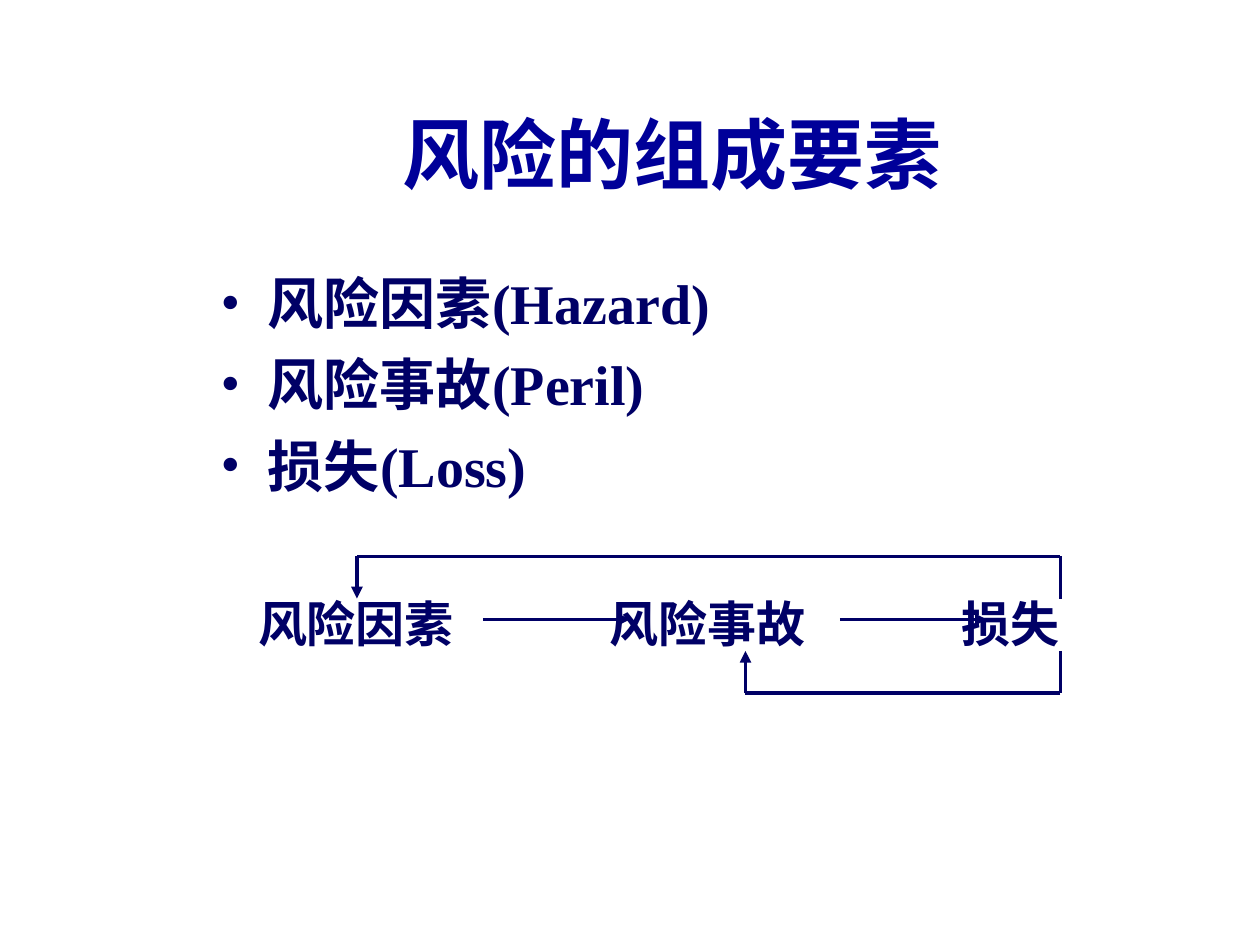
from lxml import etree
from pptx import Presentation
from pptx.dml.color import RGBColor
from pptx.enum.shapes import MSO_CONNECTOR
from pptx.enum.text import MSO_ANCHOR, PP_ALIGN
from pptx.oxml.ns import qn
from pptx.util import Pt

STRAIGHT = MSO_CONNECTOR.STRAIGHT
MIDDLE, TOP = MSO_ANCHOR.MIDDLE, MSO_ANCHOR.TOP
CENTER, LEFT = PP_ALIGN.CENTER, PP_ALIGN.LEFT

FONT = "Times New Roman"
BLUE, NAVY = "000099", "000066"
TITLE = "风险的组成要素"
BULLETS = ["风险因素(Hazard)", "风险事故(Peril)", "损失(Loss)"]
STAGES = ["风险因素", "风险事故", "损失"]
STAGE_LEFT, STAGE_STEP, STAGE_TOP = 147.5, 201, 339

FLOW_Y = 354
LOSS_X = 606
PATHS = [
    [(276, FLOW_Y), (360, FLOW_Y)],
    [(480, FLOW_Y), (564, FLOW_Y)],
    [(LOSS_X, 342), (LOSS_X, 318), (204, 318), (204, 342)],
    [(LOSS_X, 372), (LOSS_X, 396), (426, 396), (426, 372)],
]


def color(value):
    return RGBColor.from_string(value)


def add_text(s, box, lines, size, fill, align=LEFT, anchor=TOP, inset=(7.2, 3.6), gap=0):
    sp = s.shapes.add_textbox(*map(Pt, box))
    tf = sp.text_frame
    tf.word_wrap = True
    tf.vertical_anchor = anchor
    tf.margin_left = tf.margin_right = Pt(inset[0])
    tf.margin_top = tf.margin_bottom = Pt(inset[1])
    for i, line in enumerate(lines):
        p = tf.add_paragraph() if i else tf.paragraphs[0]
        p.alignment = align
        p.space_before = Pt(gap if i else 0)
        r = p.add_run()
        r.text = line
        r.font.name = FONT
        r.font.size = Pt(size)
        r.font.bold = True
        r.font.color.rgb = color(fill)
    return tf


def add_bullet(p, fill, indent):
    pPr = p._p.get_or_add_pPr()
    pPr.set("marL", str(Pt(indent)))
    pPr.set("indent", str(-Pt(indent)))
    buClr = etree.SubElement(pPr, qn("a:buClr"))
    etree.SubElement(buClr, qn("a:srgbClr"), val=fill)
    etree.SubElement(pPr, qn("a:buFont"), typeface=FONT)
    etree.SubElement(pPr, qn("a:buChar"), char="•")


def add_line(s, start, end, arrow):
    sp = s.shapes.add_connector(STRAIGHT, *map(Pt, start + end))
    sp.line.color.rgb = color(NAVY)
    sp.line.width = Pt(2.25)
    if arrow:
        etree.SubElement(sp.line._get_or_add_ln(), qn("a:tailEnd"), type="triangle")
    etree.SubElement(sp._element.spPr, qn("a:effectLst"))


prs = Presentation()
prs.slide_width, prs.slide_height = Pt(720), Pt(540)
s = prs.slides.add_slide(prs.slide_layouts[6])

add_text(s, (66, 42, 636, 90), [TITLE], 44, BLUE, CENTER, MIDDLE)

tf = add_text(s, (119, 150, 577, 150), BULLETS, 32, NAVY, gap=8)
for p in tf.paragraphs:
    add_bullet(p, NAVY, 27)

for i, stage in enumerate(STAGES):
    box = (STAGE_LEFT + i * STAGE_STEP, STAGE_TOP, 28 * len(stage) + 4, 34)
    add_text(s, box, [stage], 28, NAVY, inset=(0, 0))

for points in PATHS:
    for start, end in zip(points, points[1:]):
        add_line(s, start, end, end == points[-1])

prs.save("out.pptx")
